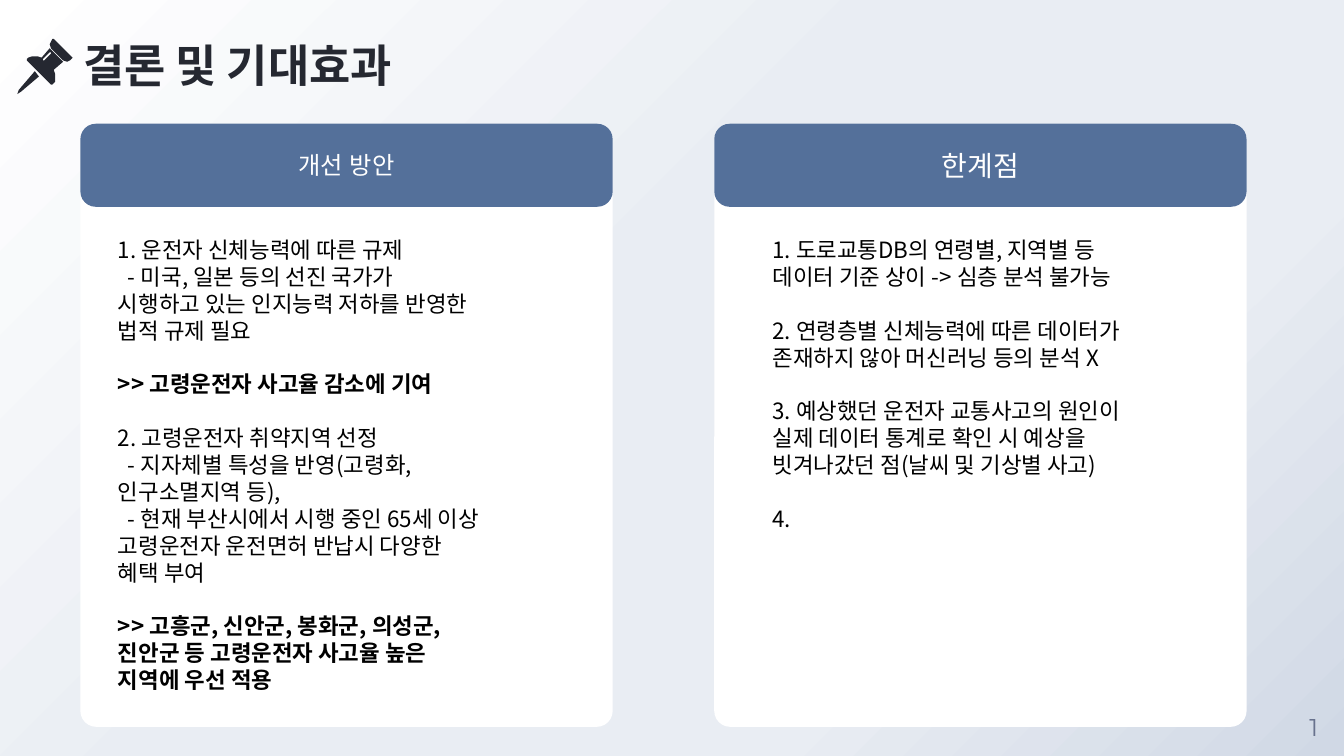
from lxml import etree
from pptx import Presentation
from pptx import util as u
from pptx.dml.color import RGBColor
from pptx.enum import shapes, text
from pptx.oxml.ns import qn

Cm, Pt = u.Cm, u.Pt
C = {"ink": "252831", "black": "000000", "white": "FFFFFF",
     "blue": "54709A", "number": "68728D", "pale": "E9EDF3", "edge": "D0D8E5"}
KR = "Noto Sans CJK KR"


def paint(sp, color):
    sp.shadow.inherit = False
    sp.fill.solid()
    sp.fill.fore_color.rgb = RGBColor.from_string(C[color])
    sp.line.fill.background()


def add_run(p, words, size, font, color, bold=False):
    r = p.add_run()
    r.text = words
    r.font.size, r.font.name, r.font.bold = Pt(size), font, bold
    r.font.color.rgb = RGBColor.from_string(C[color])
    ea = etree.SubElement(r.font._element, qn("a:ea"))
    ea.set("typeface", font)


prs = Presentation()
prs.slide_width, prs.slide_height = Cm(25.4), Cm(14.29)
s = prs.slides.add_slide(prs.slide_layouts[6])

# Background: diagonal gradient with a pale plateau
bg = s.background.fill
bg.gradient()
bg.gradient_angle = 315
stops = next(s.element.iter(qn("a:gsLst")))
for gs in list(stops):
    stops.remove(gs)
for pos, color in [(0, "white"), (44, "pale"), (72, "pale"), (100, "edge")]:
    gs = etree.SubElement(stops, qn("a:gs"), pos=str(pos * 1000))
    etree.SubElement(gs, qn("a:srgbClr"), val=C[color])

# Page number
sp = s.shapes.add_textbox(Cm(24.26), Cm(13.16), Cm(1.14), Cm(1.14))
tf = sp.text_frame
tf.word_wrap = True
tf.margin_left = tf.margin_right = tf.margin_top = tf.margin_bottom = 0
tf.vertical_anchor = text.MSO_ANCHOR.MIDDLE
p = tf.paragraphs[0]
p.alignment = text.PP_ALIGN.CENTER
add_run(p, "1", 13, "Montserrat", "number")

# Title
sp = s.shapes.add_textbox(Cm(1.57), Cm(0.71), Cm(11.3), Cm(1.63))
tf = sp.text_frame
tf.word_wrap = True
tf.margin_left = tf.margin_right = tf.margin_top = tf.margin_bottom = 0
p = tf.paragraphs[0]
p.line_spacing = Pt(28.8)
add_run(p, "결론 및 기대효과", 24, KR, "ink", True)

# Push pin: needle, cap, body with a highlight cut out (hundredths of an inch)
needle = [(26, 53), (14, 67), (13, 70), (16, 68), (29, 57)]
cap = [(39, 29), (38, 31), (37, 33), (38, 36), (47, 45), (50, 46), (52, 45),
       (53, 44), (54, 43), (53, 42), (41, 30), (40, 29)]
body = [(37, 36), (31, 43), (28, 42), (24, 42), (21, 43), (20, 44), (20, 45),
        (38, 63), (39, 63), (41, 61), (41, 55), (40, 52), (47, 46)]
highlight = [(37, 39), (38, 39), (38, 40), (33, 45), (32, 45), (32, 44)]
pin = s.shapes.add_group_shape()
for contours in [[needle], [cap], [body, highlight]]:
    fb = pin.shapes.build_freeform(*contours[0][0], scale=Cm(0.0254))
    fb.add_line_segments(contours[0][1:], close=True)
    for hole in contours[1:]:
        fb.move_to(*hole[0])
        fb.add_line_segments(hole[1:], close=True)
    paint(fb.convert_to_shape(), "ink")

# Cards: left, heading, heading size, text left, text height,
# lines as (wording, style), where style holds g = gap before, b = bold, i = indent
cards = [
    (1.52, "개선 방안", 13, 1.98, 8.97, [
        ("1. 운전자 신체능력에 따른 규제", ""),
        ("- 미국, 일본 등의 선진 국가가 시행하고 있는 인지능력 저하를 반영한 법적 규제 필요", "i"),
        (">> 고령운전자 사고율 감소에 기여", "gb"),
        ("2. 고령운전자 취약지역 선정", "g"),
        ("- 지자체별 특성을 반영(고령화, 인구소멸지역 등),", "i"),
        ("- 현재 부산시에서 시행 중인 65세 이상 고령운전자 운전면허 반납시 다양한 혜택 부여", "i"),
        (">> 고흥군, 신안군, 봉화군, 의성군, 진안군 등 고령운전자 사고율 높은 지역에 우선 적용", "gb"),
    ]),
    (13.5, "한계점", 15, 14.35, 5.89, [
        ("1. 도로교통DB의 연령별, 지역별 등 데이터 기준 상이 -> 심층 분석 불가능", ""),
        ("2. 연령층별 신체능력에 따른 데이터가 존재하지 않아 머신러닝 등의 분석 X", "g"),
        ("3. 예상했던 운전자 교통사고의 원인이 실제 데이터 통계로 확인 시 예상을 "
         "빗겨나갔던 점(날씨 및 기상별 사고)", "g"),
        ("4.", "g"),
    ]),
]
for left, heading, size, text_left, text_height, lines in cards:
    # White panel, then the blue heading bar over its top
    for height, adj, color in [(11.4, 0.03, "white"), (1.57, 0.185, "blue")]:
        sp = s.shapes.add_shape(shapes.MSO_SHAPE.ROUNDED_RECTANGLE,
                                Cm(left), Cm(2.34), Cm(10.06), Cm(height))
        sp.adjustments[0] = adj
        paint(sp, color)
    tf = sp.text_frame
    tf.vertical_anchor = text.MSO_ANCHOR.MIDDLE
    p = tf.paragraphs[0]
    p.alignment = text.PP_ALIGN.CENTER
    add_run(p, heading, size, "Arial", "white")

    # Card text
    sp = s.shapes.add_textbox(Cm(text_left), Cm(4.34), Cm(7.34), Cm(text_height))
    tf = sp.text_frame
    tf.word_wrap = True
    for i, (words, style) in enumerate(lines):
        p = tf.paragraphs[0] if i == 0 else tf.add_paragraph()
        p.line_spacing = Pt(14.4)
        if "g" in style:
            p.space_before = Pt(14.4)
        if "i" in style:
            p._p.get_or_add_pPr().set("indent", str(Cm(0.19)))
        add_run(p, words, 12, KR, "black", "b" in style)

prs.save("out.pptx")
